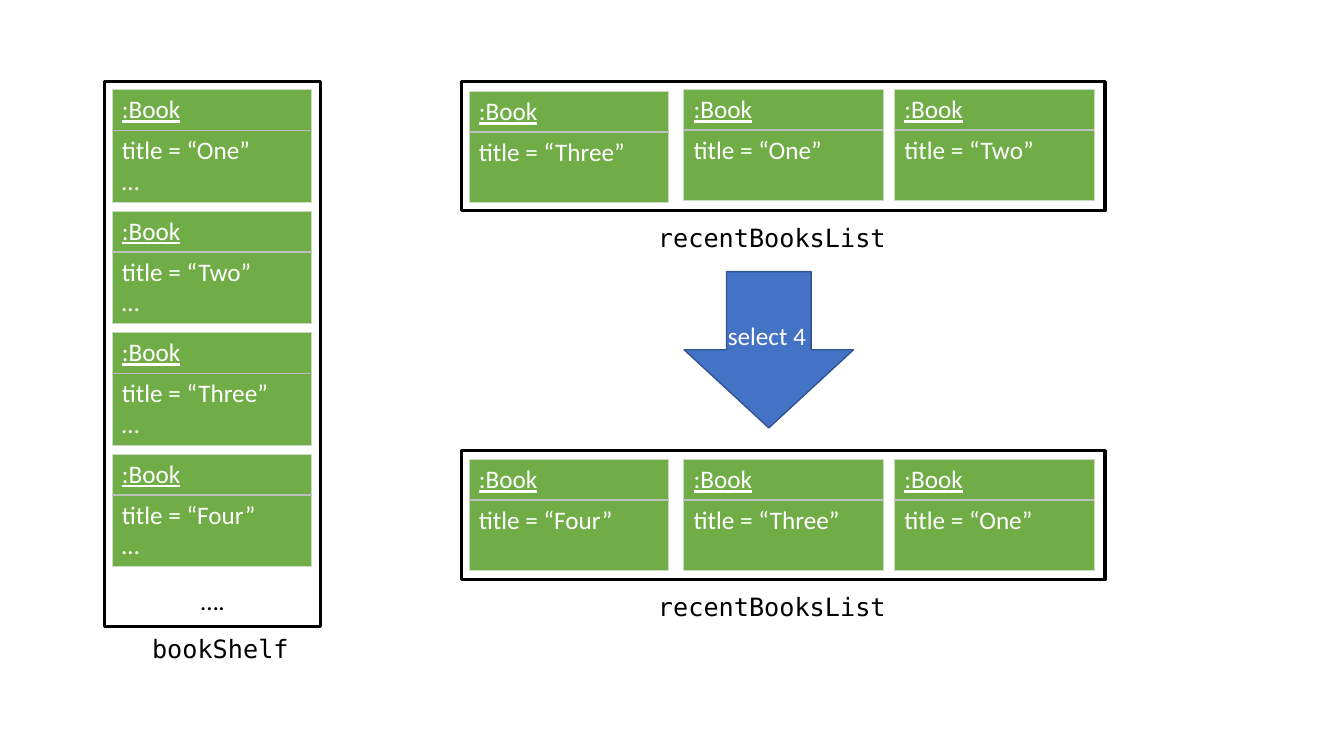
from dataclasses import dataclass

import lxml.etree
import pptx
import pptx.dml.color
import pptx.enum.shapes
import pptx.enum.text
import pptx.oxml.ns
import pptx.util

PX = 9144  # EMU; 100 px to the inch
BOOK_W, HEAD_H, BODY_H = 198, 40, 70
SHELF_LEFT, SHELF_TOP, SHELF_STEP = 111, 89, 120.5
LIST_LEFTS = (465, 678, 887)


@dataclass(frozen=True)
class Theme:
    body_font: str = "Calibri"
    code_font: str = "DejaVu Sans Mono"
    size: int = 18
    text: str = "000000"
    inverse: str = "FFFFFF"
    paper: str = "FFFFFF"
    book: str = "70AD47"
    book_edge: str = "C9DBC1"
    divider: str = "BFBFBF"
    arrow: str = "4472C4"
    arrow_edge: str = "325491"


THEME = Theme()
ALIGN = pptx.enum.text.PP_ALIGN
ANCHOR = pptx.enum.text.MSO_ANCHOR
SHAPE = pptx.enum.shapes.MSO_SHAPE


def px(*lengths):
    return [pptx.util.Emu(round(n * PX)) for n in lengths]


def rgb(value):
    return pptx.dml.color.RGBColor.from_string(value)


def add_run(p, text, color, font=THEME.body_font, underline=False):
    r = p.add_run()
    r.text = text
    r.font.name = font
    r.font.size = pptx.util.Pt(THEME.size)
    r.font.color.rgb = rgb(color)
    r.font.underline = underline


def add_box(s, kind, at, fill, line, width):
    sp = s.shapes.add_shape(kind, *px(*at))
    sp.shadow.inherit = False
    sp.fill.solid()
    sp.fill.fore_color.rgb = rgb(fill)
    sp.line.color.rgb = rgb(line)
    sp.line.width = pptx.util.Pt(width)
    return sp


def add_frame(s, *at):
    return add_box(s, SHAPE.RECTANGLE, at, THEME.paper, THEME.text, 2.25)


def add_label(s, at, text, color, font, align):
    tf = s.shapes.add_textbox(*px(*at)).text_frame
    tf.word_wrap = True
    p = tf.paragraphs[0]
    p.alignment = align
    add_run(p, text, color, font)


def add_code_label(s, left, top, text):
    add_label(s, (left, top, 269, 40), text, THEME.text, THEME.code_font, ALIGN.CENTER)


def set_borders(cell, divider_side):
    """Edge a cell thinly, with a stronger line on the side between the rows."""
    tc_pr = cell._tc.get_or_add_tcPr()
    qn = pptx.oxml.ns.qn
    for side in "LRTB":
        strong = side == divider_side
        width = pptx.util.Pt(1 if strong else 0.5)
        ln = lxml.etree.SubElement(tc_pr, qn(f"a:ln{side}"), w=str(width))
        fill = lxml.etree.SubElement(ln, qn("a:solidFill"))
        color = THEME.divider if strong else THEME.book_edge
        lxml.etree.SubElement(fill, qn("a:srgbClr"), val=color)


def add_book(s, left, top, title, more=False):
    at = px(left, top, BOOK_W, HEAD_H + BODY_H)
    table = s.shapes.add_table(2, 1, *at).table
    table.first_row = table.horz_banding = False
    body = [f"title = “{title}”"] + (["…"] if more else [])
    rows = (([":Book"], HEAD_H, "B", True), (body, BODY_H, "T", False))
    for i, (lines, height, divider_side, underline) in enumerate(rows):
        table.rows[i].height = px(height)[0]
        cell = table.cell(i, 0)
        set_borders(cell, divider_side)
        cell.fill.solid()
        cell.fill.fore_color.rgb = rgb(THEME.book)
        tf = cell.text_frame
        for j, line in enumerate(lines):
            p = tf.add_paragraph() if j else tf.paragraphs[0]
            add_run(p, line, THEME.inverse, underline=underline)


def add_shelf(s):
    tf = add_frame(s, 104, 81, 214, 541).text_frame
    tf.vertical_anchor = ANCHOR.BOTTOM
    tf.margin_bottom = px(11)[0]
    tf.paragraphs[0].alignment = ALIGN.CENTER
    add_run(tf.paragraphs[0], "….", THEME.text)
    for i, title in enumerate(("One", "Two", "Three", "Four")):
        add_book(s, SHELF_LEFT, SHELF_TOP + i * SHELF_STEP, title, more=True)
    add_code_label(s, 84, 623, "bookShelf")


def add_recent_list(s, top, books):
    """Draw a framed row of (title, offset from the frame's top) books."""
    add_frame(s, 458, top, 638, 128)
    for left, (title, offset) in zip(LIST_LEFTS, books):
        add_book(s, left, top + offset, title)
    add_code_label(s, 631, top + 135, "recentBooksList")


def add_select_arrow(s):
    sp = add_box(s, SHAPE.RIGHT_ARROW, (685, 263, 155, 168),
                 THEME.arrow, THEME.arrow_edge, 1)
    sp.rotation = 90
    add_label(s, (712, 313, 120, 40), "select 4", THEME.inverse,
              THEME.body_font, ALIGN.LEFT)


def main():
    prs = pptx.Presentation()
    prs.slide_width, prs.slide_height = px(1333, 750)
    s = prs.slides.add_slide(prs.slide_layouts[6])
    add_shelf(s)
    add_recent_list(s, 81, (("Three", 10), ("One", 8), ("Two", 8)))
    add_select_arrow(s)
    add_recent_list(s, 447, (("Four", 9), ("Three", 9), ("One", 9)))
    prs.save("out.pptx")


if __name__ == "__main__":
    main()
